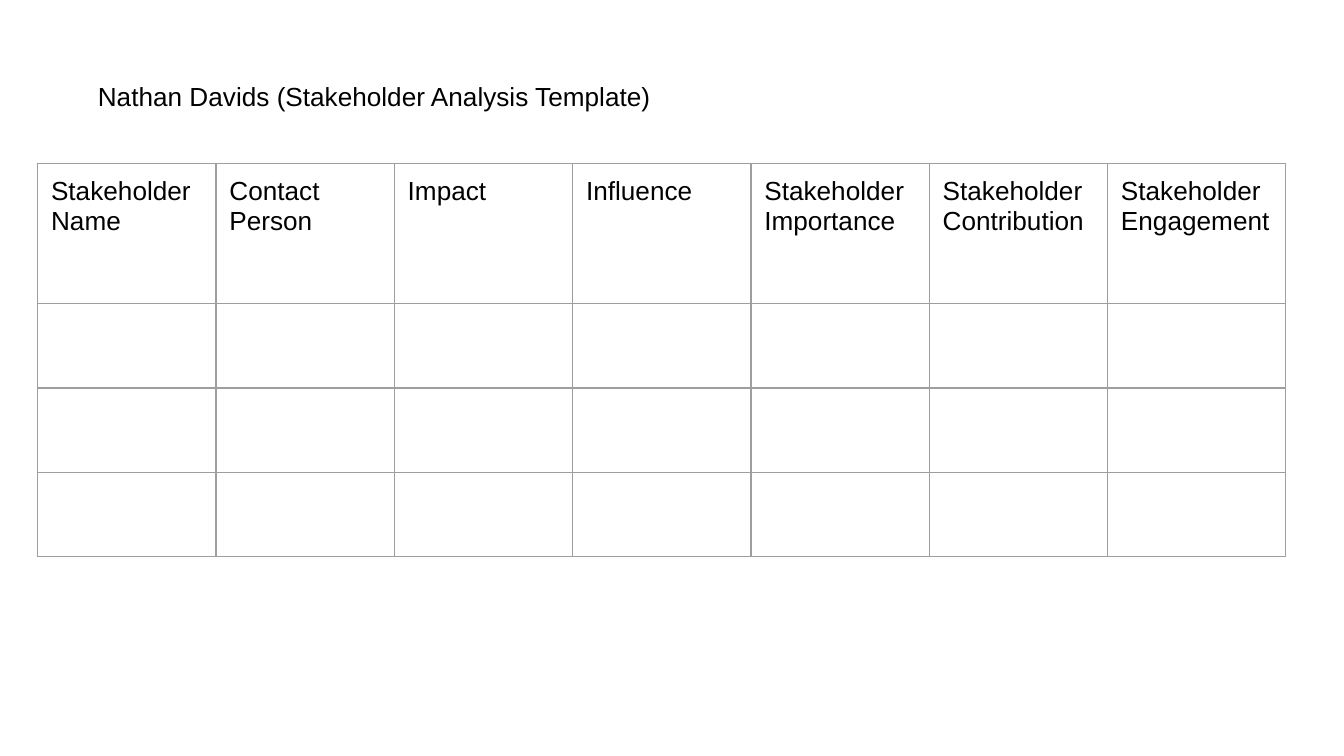
import pptx
import pptx.util
import pptx.enum.text
import pptx.dml.color
import pptx.oxml
import pptx.oxml.ns

Pt = pptx.util.Pt
HUES = {"text": "000000", "line": "9E9E9E", "back": "FFFFFF"}
HEADS = [
    "Stakeholder Name",
    "Contact Person",
    "Impact",
    "Influence",
    "Stakeholder Importance",
    "Stakeholder Contribution",
    "Stakeholder Engagement",
]
ROWS = [75, 45.25, 45.25, 45.25]


def write(frame, text, size=14, font="Arial", hue="text"):
    frame.text = text
    part = frame.paragraphs[0]
    part.alignment = pptx.enum.text.PP_ALIGN.LEFT
    part.line_spacing = 1.0
    part.space_before = Pt(0)
    part.font.size = Pt(size)
    part.font.name = font
    part.font.bold = False
    part.font.color.rgb = pptx.dml.color.RGBColor.from_string(HUES[hue])


class Deck:
    def __init__(self, wide, high, inset=7.2, line=0.75):
        self.file = pptx.Presentation()
        self.file.slide_width, self.file.slide_height = Pt(wide), Pt(high)
        self.inset, self.line = Pt(inset), Pt(line)
        self.slide = self.file.slides.add_slide(self.file.slide_layouts[5])
        fill = self.slide.background.fill
        fill.solid()
        fill.fore_color.rgb = pptx.dml.color.RGBColor.from_string(HUES["back"])

    def pad(self, item):
        item.margin_left = item.margin_right = self.inset
        item.margin_top = item.margin_bottom = self.inset
        item.vertical_anchor = pptx.enum.text.MSO_ANCHOR.TOP

    def title(self, text, left, top, wide, high):
        shape = self.slide.shapes.title
        shape.left, shape.top = Pt(left), Pt(top)
        shape.width, shape.height = Pt(wide), Pt(high)
        frame = shape.text_frame
        frame.word_wrap = True
        frame.auto_size = pptx.enum.text.MSO_AUTO_SIZE.SHAPE_TO_FIT_TEXT
        self.pad(frame)
        write(frame, text)

    def edge(self, cell):
        props = cell._tc.get_or_add_tcPr()
        for side in ("lnL", "lnR", "lnT", "lnB"):
            props.append(pptx.oxml.parse_xml(
                f'<a:{side} {pptx.oxml.ns.nsdecls("a")} w="{self.line}">'
                f'<a:solidFill><a:srgbClr val="{HUES["line"]}"/></a:solidFill>'
                f'</a:{side}>'))

    def table(self, heads, rows, left, top, wide):
        grid = self.slide.shapes.add_table(
            len(rows), len(heads), Pt(left), Pt(top),
            Pt(wide * len(heads)), Pt(sum(rows))).table
        grid.first_row = grid.horz_banding = False
        for col in grid.columns:
            col.width = Pt(wide)
        for row, high in zip(grid.rows, rows):
            row.height = Pt(high)
        for cell in grid.iter_cells():
            self.pad(cell)
            self.edge(cell)
            cell.fill.background()
        for cell, head in zip(grid.rows[0].cells, heads):
            write(cell.text_frame, head)


def main():
    deck = Deck(720, 405)
    deck.title("Nathan Davids (Stakeholder Analysis Template)", 45.2, 36, 628, 65.5)
    deck.table(HEADS, ROWS, left=20.15, top=87.6, wide=95.55)
    deck.file.save("out.pptx")


if __name__ == "__main__":
    main()
